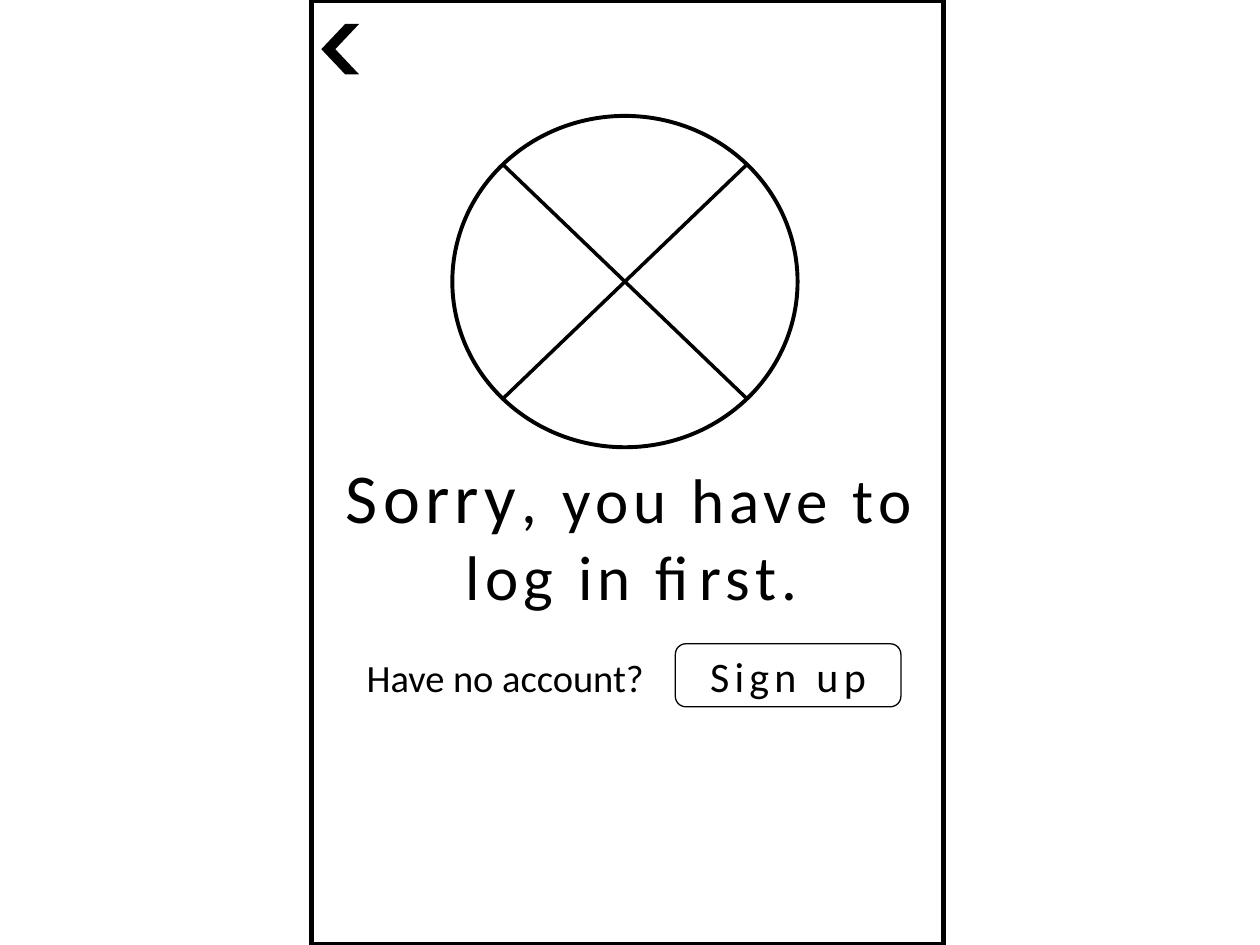
from math import cos, pi, sin

from lxml import etree
from pptx import Presentation
from pptx.dml.color import RGBColor
from pptx.enum.shapes import MSO_CONNECTOR, MSO_SHAPE
from pptx.enum.text import MSO_ANCHOR, MSO_AUTO_SIZE, PP_ALIGN
from pptx.oxml.ns import qn
from pptx.util import Inches, Pt

BLACK = RGBColor(0, 0, 0)
WHITE = RGBColor(255, 255, 255)
FONT = "Calibri"
STRAIGHT = MSO_CONNECTOR.STRAIGHT
CENTER = PP_ALIGN.CENTER
MIDDLE, TOP = MSO_ANCHOR.MIDDLE, MSO_ANCHOR.TOP
FIT_SHAPE, NO_FIT = MSO_AUTO_SIZE.SHAPE_TO_FIT_TEXT, MSO_AUTO_SIZE.NONE

# Content: paragraphs of (text, size) runs
MESSAGE = [[("Sorry", 40), (", you have to ", 36)], [("log in first.", 36)]]
QUESTION = [[("Have no account?", 22)]]
BUTTON = [[("Sign up", 24)]]

# Places: left, top, width, height
SCREEN_BOX = (2.47, 0, 5.02, 7.5)
BACK_BOX = (2.55, 0.19, 0.3, 0.4)
CIRCLE_BOX = (3.59, 0.92, 2.74, 2.63)
MESSAGE_BOX = (2.63, 3.55, 4.77, 1.38)
QUESTION_BOX = (2.79, 5.14, 2.44, 0.47)
BUTTON_BOX = (5.36, 5.11, 1.79, 0.5)


def add_shape(slide, kind, box, fill=None, line_width=None):
    shape = slide.shapes.add_shape(kind, *map(Inches, box))
    shape.shadow.inherit = False
    if fill is None:
        shape.fill.background()
    else:
        shape.fill.solid()
        shape.fill.fore_color.rgb = fill
    if line_width is None:
        shape.line.fill.background()
    else:
        shape.line.color.rgb = BLACK
        shape.line.width = Pt(line_width)
    return shape


def add_line(slide, start, end, width):
    line = slide.shapes.add_connector(STRAIGHT, *map(Inches, (*start, *end)))
    line.line.color.rgb = BLACK
    line.line.width = Pt(width)
    etree.SubElement(line.element.spPr, qn("a:effectLst"))


def write_text(shape, paragraphs, spacing=0, anchor=TOP, wrap=False, auto_size=FIT_SHAPE):
    frame = shape.text_frame
    frame.word_wrap = wrap
    frame.auto_size = auto_size
    frame.vertical_anchor = anchor
    for index, runs in enumerate(paragraphs):
        paragraph = frame.add_paragraph() if index else frame.paragraphs[0]
        paragraph.alignment = CENTER
        for text, size in runs:
            run = paragraph.add_run()
            run.text = text
            run.font.name = FONT
            run.font.size = Pt(size)
            run.font.color.rgb = BLACK
            if spacing:
                run.font._element.set("spc", str(spacing * 100))


def main():
    presentation = Presentation()
    presentation.slide_width, presentation.slide_height = Inches(10), Inches(7.5)
    slide = presentation.slides.add_slide(presentation.slide_layouts[5])

    # Screen frame and sign-up button
    add_shape(slide, MSO_SHAPE.RECTANGLE, SCREEN_BOX, fill=WHITE, line_width=3)
    button = add_shape(slide, MSO_SHAPE.ROUNDED_RECTANGLE, BUTTON_BOX, fill=WHITE, line_width=0.75)
    write_text(button, BUTTON, spacing=3, anchor=MIDDLE, wrap=True, auto_size=NO_FIT)

    # Message in the title placeholder, brought in front of the frame
    title = slide.shapes.title
    title.left, title.top, title.width, title.height = map(Inches, MESSAGE_BOX)
    write_text(title, MESSAGE, spacing=3)
    slide.shapes.element.append(title.element)

    # Question beside the button
    question = slide.shapes.add_textbox(*map(Inches, QUESTION_BOX))
    write_text(question, QUESTION)

    # Crossed circle: the diagonals meet the outline at 45 degrees
    add_shape(slide, MSO_SHAPE.OVAL, CIRCLE_BOX, line_width=2.25)
    left, top, width, height = CIRCLE_BOX
    center_x, center_y = left + width / 2, top + height / 2
    reach_x, reach_y = width / 2 * cos(pi / 4), height / 2 * sin(pi / 4)
    for direction in (1, -1):
        rise = direction * reach_y
        add_line(slide, (center_x - reach_x, center_y - rise),
                 (center_x + reach_x, center_y + rise), width=2)

    # Back arrow
    back = add_shape(slide, MSO_SHAPE.CHEVRON, BACK_BOX, fill=BLACK)
    back.rotation = 180
    back.adjustments[0] = 0.63

    presentation.save("out.pptx")


if __name__ == "__main__":
    main()
